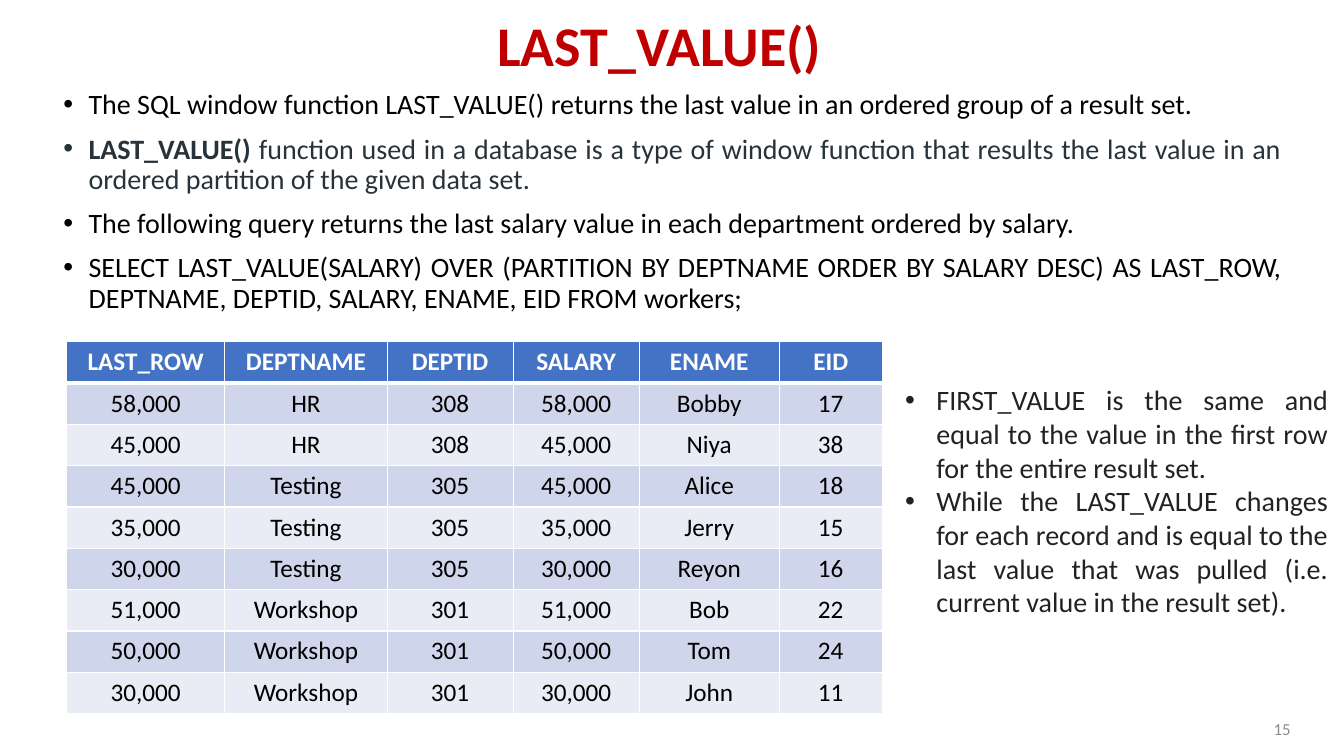
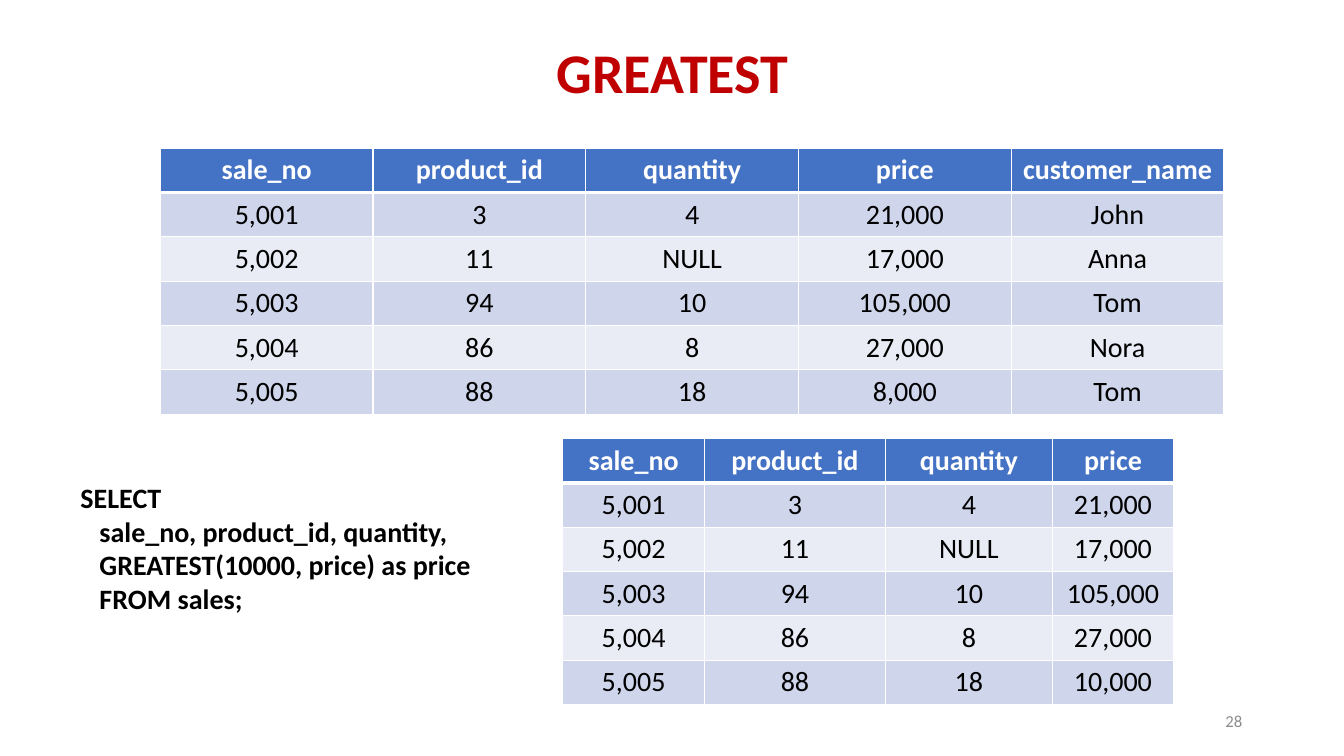
from pptx import Presentation
from pptx import util as u
from pptx.dml.color import RGBColor
from pptx.enum import text
from pptx.oxml import parse_xml
from pptx.oxml.ns import nsdecls

PX = 9144  # 100 px to the inch
FONT = "Calibri"
COLOURS = {
    "title": "C00000", "text": "000000", "slate": "273239", "note": "222222",
    "page": "8C8C8C", "header": "4472C4", "odd": "CFD5EA", "even": "E9EBF5",
    "white": "FFFFFF",
}
ALIGN = {"left": text.PP_ALIGN.LEFT, "center": text.PP_ALIGN.CENTER,
         "right": text.PP_ALIGN.RIGHT, "justify": text.PP_ALIGN.JUSTIFY}

SALES_HEADER = ("sale_no", "product_id", "quantity", "price")
SALES = [
    ("5,001", "3", "4", "21,000"),
    ("5,002", "11", "NULL", "17,000"),
    ("5,003", "94", "10", "105,000"),
    ("5,004", "86", "8", "27,000"),
    ("5,005", "88", "18", "8,000"),
]
CUSTOMERS = ("John", "Anna", "Tom", "Nora", "Tom")

# Each paragraph is a string, or a list of (text, format) runs.
SLIDES = [
    {
        "title": ("LAST_VALUE()", (79, -25)),
        "page": ("15", (990, 703)),
        "texts": [
            ((53, 85, 1228, 579), [
                "The SQL window function LAST_VALUE() returns the last value in an "
                "ordered group of a result set.",
                [("LAST_VALUE()", {"colour": "slate", "bold": True}),
                 (" function used in a database is a type of window function that "
                  "results the last value in an ordered partition of the given data "
                  "set.", {"colour": "slate"})],
                "The following query returns the last salary value in each "
                "department ordered by salary.",
                "SELECT LAST_VALUE(SALARY) OVER (PARTITION BY DEPTNAME ORDER BY "
                "SALARY DESC) AS LAST_ROW, DEPTNAME, DEPTID, SALARY, ENAME, EID "
                "FROM workers;",
            ], {"align": "justify", "bullet": 25, "spacing": 0.9, "before": 10}),
            ((888, 375, 439, 246), [
                "FIRST_VALUE is the same and equal to the value in the first row "
                "for the entire result set.",
                "While the LAST_VALUE changes for each record and is equal to the "
                "last value that was pulled (i.e. current value in the result set).",
            ], {"align": "justify", "bullet": 31, "colour": "note"}),
        ],
        "tables": [{
            "at": (66, 339), "widths": (157, 161, 125, 125, 139, 102),
            "row_height": 41, "size": 18,
            "rows": [
                ("LAST_ROW", "DEPTNAME", "DEPTID", "SALARY", "ENAME", "EID"),
                ("58,000", "HR", "308", "58,000", "Bobby", "17"),
                ("45,000", "HR", "308", "45,000", "Niya", "38"),
                ("45,000", "Testing", "305", "45,000", "Alice", "18"),
                ("35,000", "Testing", "305", "35,000", "Jerry", "15"),
                ("30,000", "Testing", "305", "30,000", "Reyon", "16"),
                ("51,000", "Workshop", "301", "51,000", "Bob", "22"),
                ("50,000", "Workshop", "301", "50,000", "Tom", "24"),
                ("30,000", "Workshop", "301", "30,000", "John", "11"),
            ],
        }],
    },
    {
        "title": ("GREATEST", (92, 2)),
        "page": ("28", (942, 695)),
        "texts": [
            ((70, 472, 667, 145), [
                "SELECT",
                "   sale_no, product_id, quantity,",
                "   GREATEST(10000, price) as price",
                "   FROM sales;",
            ], {"align": "justify", "bold": True}),
        ],
        "tables": [
            {
                "at": (159, 147), "widths": (211,) * 5, "row_height": 44, "size": 20,
                "rows": [SALES_HEADER + ("customer_name",)]
                + [sale + (name,) for sale, name in zip(SALES, CUSTOMERS)],
            },
            {
                "at": (558, 435), "widths": (141, 179, 166, 120),
                "row_height": 44, "size": 20,
                "rows": [SALES_HEADER, *SALES[:-1], SALES[-1][:3] + ("10,000",)],
            },
        ],
    },
]


def px(*lengths):
    return [length * PX for length in lengths]


def rgb(name):
    return RGBColor.from_string(COLOURS[name])


def write(frame, paragraphs, *, size=20, colour="text", bold=False, align="left",
          bullet=0, spacing=None, before=0):
    """Fill a text frame; bullet is the hanging indent in px, 0 for none."""
    for index, content in enumerate(paragraphs):
        paragraph = frame.add_paragraph() if index else frame.paragraphs[0]
        if bullet:
            properties = paragraph._p.get_or_add_pPr()
            properties.set("marL", str(bullet * PX))
            properties.set("indent", str(-bullet * PX))
            properties.append(parse_xml(f'<a:buFont {nsdecls("a")} typeface="Arial"/>'))
            properties.append(parse_xml(f'<a:buChar {nsdecls("a")} char="•"/>'))
        paragraph.alignment = ALIGN[align]
        if spacing:
            paragraph.line_spacing = spacing
        if before and index:
            paragraph.space_before = u.Pt(before)
        for words, own in [(content, {})] if isinstance(content, str) else content:
            run = paragraph.add_run()
            run.text = words
            run.font.name = FONT
            run.font.size = u.Pt(size)
            run.font.bold = own.get("bold", bold)
            run.font.color.rgb = rgb(own.get("colour", colour))


def add_text(slide, box, paragraphs, middle=False, **style):
    frame = slide.shapes.add_textbox(*px(*box)).text_frame
    frame.word_wrap = True
    if middle:
        frame.vertical_anchor = text.MSO_ANCHOR.MIDDLE
    write(frame, paragraphs, **style)


def add_borders(cell, row):
    """Draw thin white borders, with a thick one between header and body."""
    thick_side = {0: "B", 1: "T"}.get(row)
    for side in "LRTB":
        width = u.Pt(3 if side == thick_side else 1)
        cell._tc.get_or_add_tcPr().append(parse_xml(
            f'<a:ln{side} {nsdecls("a")} w="{width}"><a:solidFill>'
            f'<a:srgbClr val="{COLOURS["white"]}"/></a:solidFill></a:ln{side}>'))


def add_table(slide, at, widths, row_height, size, rows):
    box = px(*at, sum(widths), row_height * len(rows))
    table = slide.shapes.add_table(len(rows), len(widths), *box).table
    for column, width in zip(table.columns, widths):
        column.width = width * PX
    for r, values in enumerate(rows):
        table.rows[r].height = row_height * PX
        header = r == 0
        fill = "header" if header else "odd" if r % 2 else "even"
        for c, value in enumerate(values):
            cell = table.cell(r, c)
            add_borders(cell, r)
            cell.fill.solid()
            cell.fill.fore_color.rgb = rgb(fill)
            write(cell.text_frame, [value], size=size, bold=header, align="center",
                  colour="white" if header else "text")


def build_slide(deck, content):
    slide = deck.slides.add_slide(deck.slide_layouts[6])
    title, title_at = content["title"]
    add_text(slide, (*title_at, 1150, 145), [title], middle=True, size=40,
             colour="title", bold=True, align="center", spacing=0.9)
    page, page_at = content["page"]
    add_text(slide, (*page_at, 300, 40), [page], middle=True, size=12,
             colour="page", align="right")
    for table in content["tables"]:
        add_table(slide, **table)
    for box, paragraphs, style in content["texts"]:
        add_text(slide, box, paragraphs, **style)


def main():
    deck = Presentation()
    deck.slide_width, deck.slide_height = px(1333, 750)
    for content in SLIDES:
        build_slide(deck, content)
    deck.save("out.pptx")


if __name__ == "__main__":
    main()
